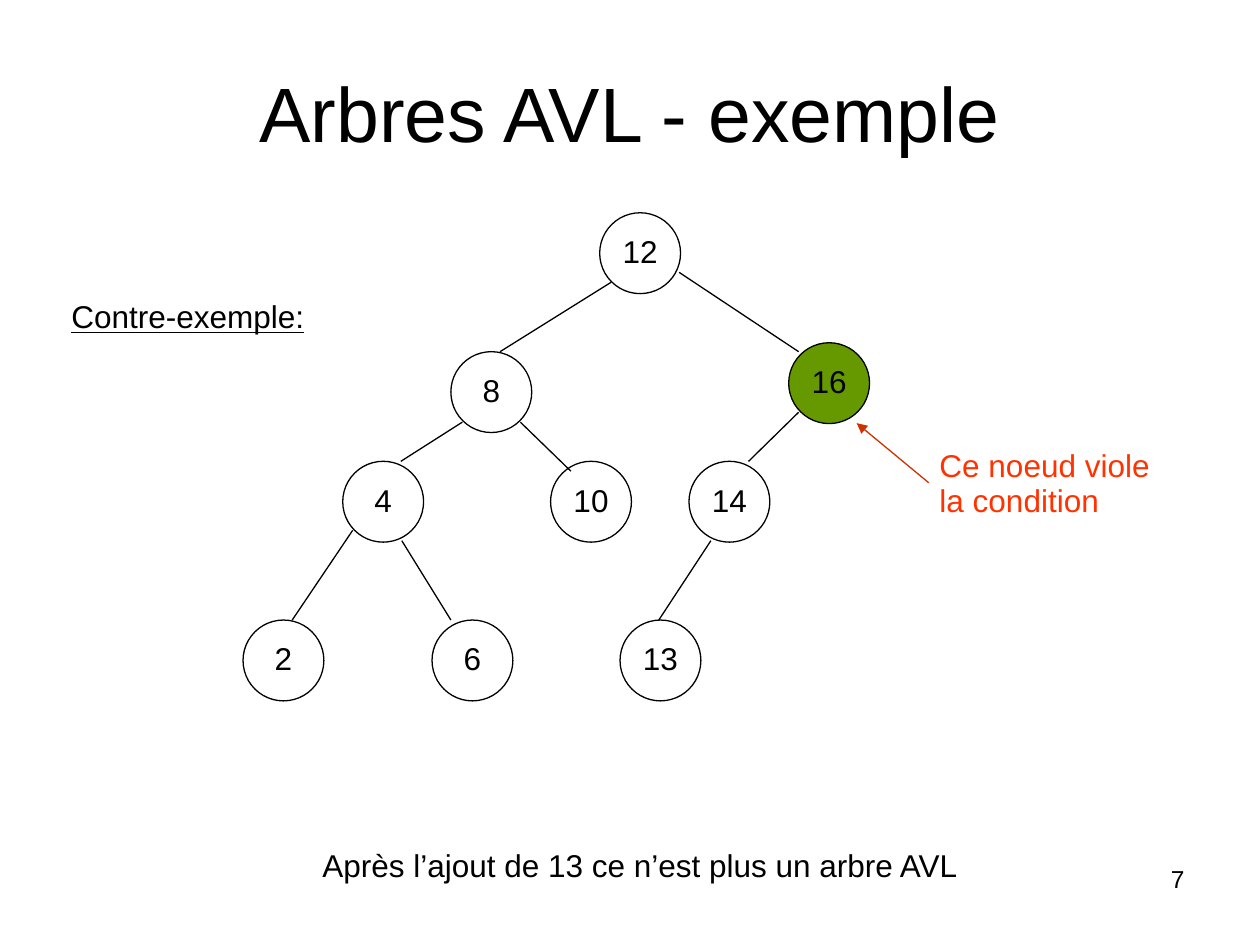
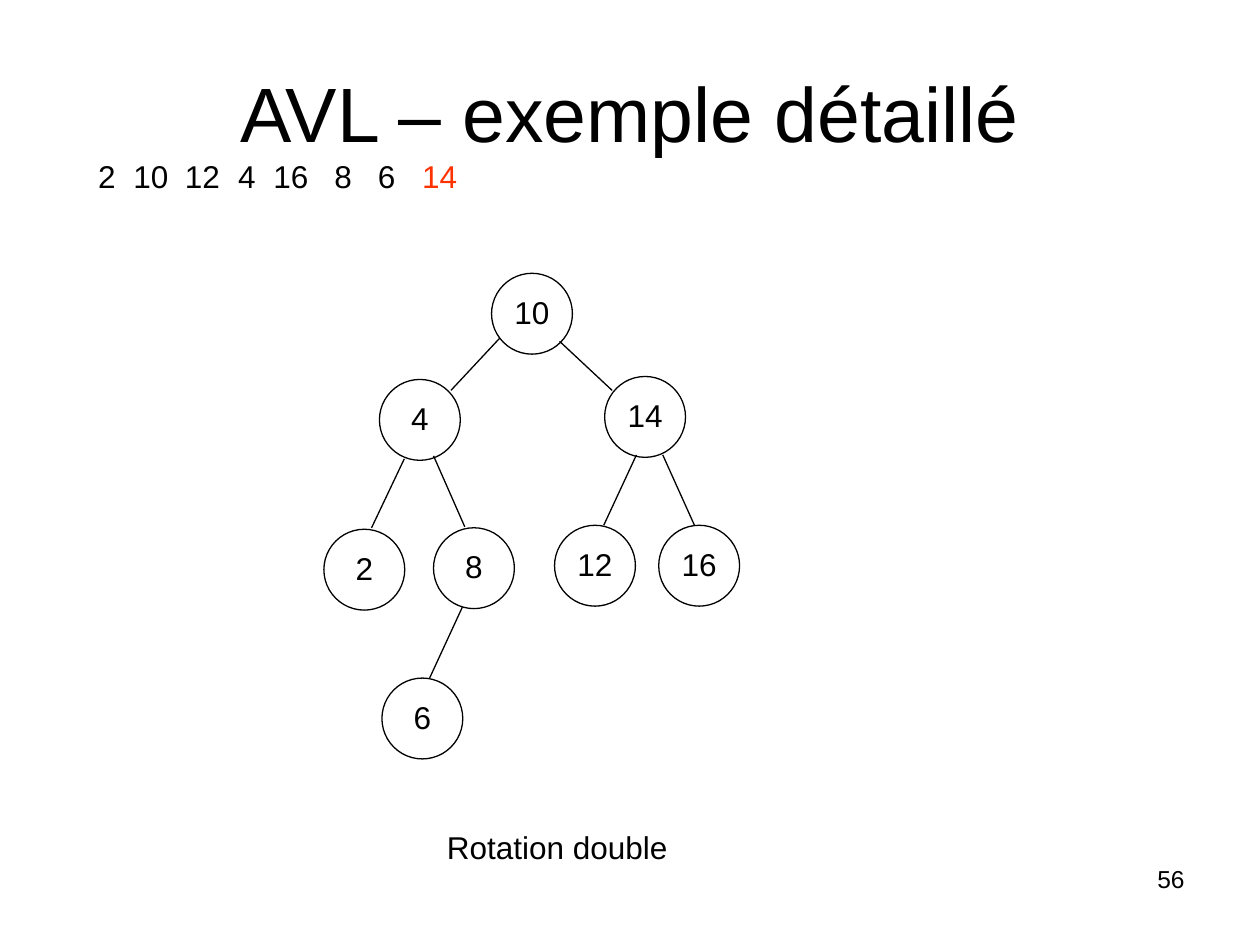
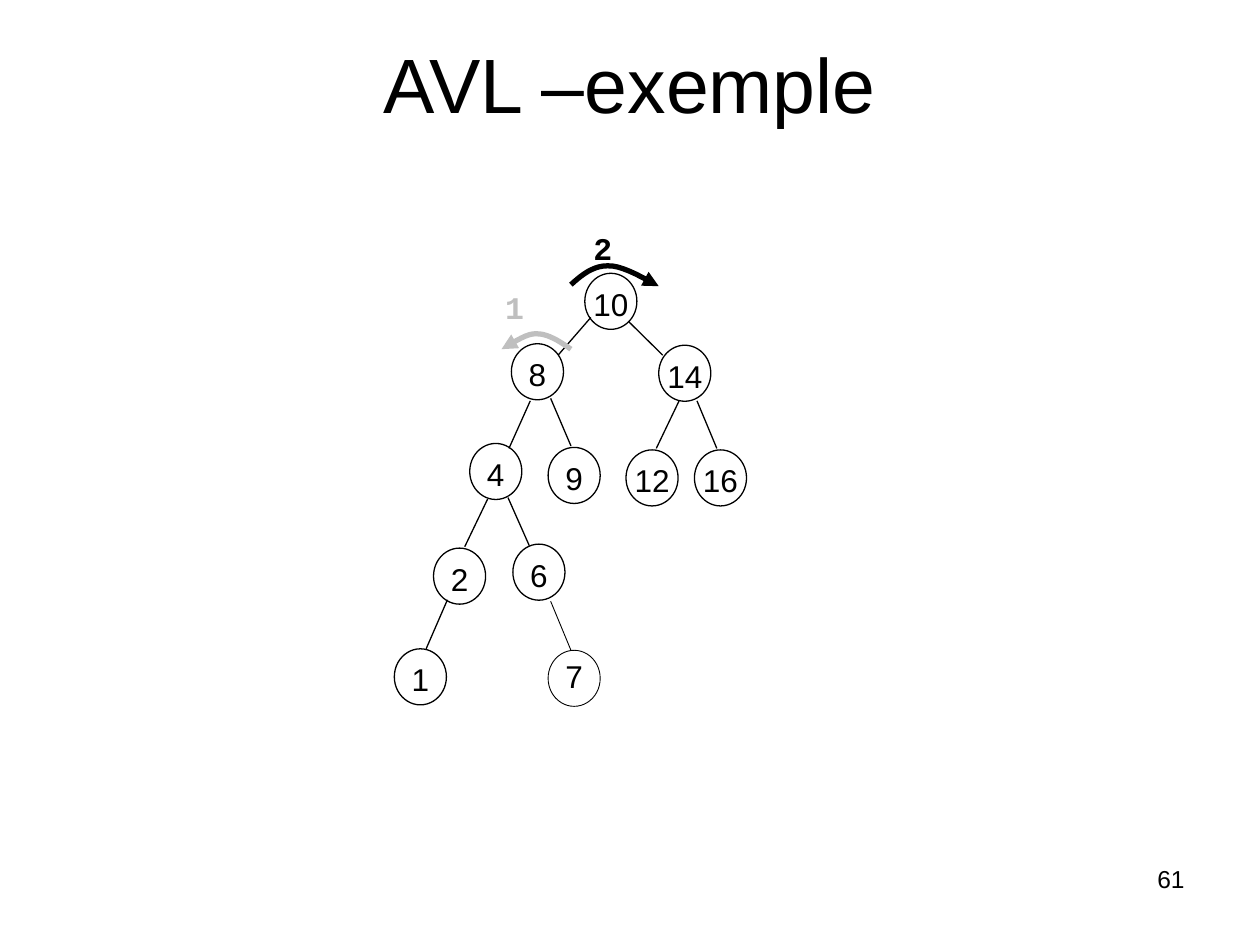
from pptx import Presentation
from pptx.dml.color import RGBColor
from pptx.enum.shapes import MSO_CONNECTOR, MSO_SHAPE
from pptx.enum.text import MSO_ANCHOR, PP_ALIGN
from pptx.oxml.ns import qn
from pptx.util import Cm, Pt
from lxml import etree

LEFT, CENTER, RIGHT = PP_ALIGN.LEFT, PP_ALIGN.CENTER, PP_ALIGN.RIGHT
MIDDLE = MSO_ANCHOR.MIDDLE
OVAL, STRAIGHT = MSO_SHAPE.OVAL, MSO_CONNECTOR.STRAIGHT
BLACK, RED, DARK_RED, GREEN, GREY = "000000", "FF3300", "CC3300", "669900", "BFBFBF"

# A node is: label, left, top, then the two ends of the edge from its parent (cm).
SLIDES = [
    {
        "title": "Arbres AVL - exemple", "number": "7", "title_height": 3.18,
        "node_size": (1.63, 1.63), "text_drop": 0,
        "nodes": [
            ("12", 12.09, 4.29, None),
            ("8", 9.09, 7.09, (12.32, 5.69, 10.08, 7.09)),
            ("16", 15.9, 6.91, (13.69, 5.49, 16.1, 7.09)),
            ("4", 6.91, 9.3, (9.32, 8.51, 8.08, 9.3)),
            ("10", 11.1, 9.3, (10.49, 8.51, 11.51, 9.5)),
            ("14", 13.89, 9.3, (16.1, 8.31, 15.09, 9.3)),
            ("2", 4.9, 12.5, (7.11, 10.69, 5.89, 12.5)),
            ("6", 8.71, 12.5, (8.1, 10.9, 9.09, 12.5)),
            ("13", 12.5, 12.5, (14.33, 10.9, 13.28, 12.5)),
        ],
    },
    {
        "title": "AVL – exemple détaillé", "number": "56", "title_height": 3.18,
        "node_size": (1.63, 1.63), "text_drop": 0,
        "nodes": [
            ("10", 9.91, 5.51, None),
            ("4", 7.65, 7.65, (10.08, 6.81, 9.09, 7.87)),
            ("14", 12.19, 7.59, (11.28, 6.88, 12.34, 7.87)),
            ("2", 6.53, 10.67, (8.15, 9.25, 7.49, 10.64)),
            ("8", 8.74, 10.64, (8.74, 9.19, 9.37, 10.62)),
            ("12", 11.18, 10.59, (12.83, 9.17, 12.17, 10.59)),
            ("16", 13.28, 10.59, (13.36, 9.17, 14, 10.59)),
            ("6", 7.7, 13.67, (9.32, 12.24, 8.66, 13.67)),
        ],
    },
    {
        "title": "AVL –exemple", "number": "61", "title_height": 2.01,
        "node_size": (1.05, 1.13), "text_drop": 0.18,
        "nodes": [
            ("10", 11.79, 5.51, None),
            ("8", 10.31, 6.93, (11.91, 6.4, 11.25, 7.16)),
            ("14", 13.28, 6.96, (12.67, 6.48, 13.36, 7.16)),
            ("4", 9.47, 8.94, (10.69, 8.08, 10.26, 9.04)),
            ("9", 11.05, 9.02, (11.1, 8.03, 11.51, 8.99)),
            ("12", 12.62, 9.07, (13.69, 8.08, 13.23, 9.04)),
            ("16", 14, 9.07, (14.05, 8.08, 14.45, 9.04)),
            ("2", 8.74, 11.05, (9.83, 10.06, 9.37, 11.02)),
            ("6", 10.34, 10.97, (10.24, 10.03, 10.67, 11)),
            ("1", 7.95, 13.08, (9.02, 12.09, 8.59, 13.08)),
            ("7", 11.05, 13.11, (11.1, 12.12, 11.51, 13.11)),
        ],
    },
]


def rgb(value):
    return RGBColor.from_string(value)


def write(frame, lines, align=LEFT, wrap=True, **style):
    """Fill a text frame; each line is a list of (text, colour) spans."""
    frame.word_wrap = wrap
    style = {"name": "Arial", "size": Pt(18), **style}
    for index, spans in enumerate(lines):
        para = frame.add_paragraph() if index else frame.paragraphs[0]
        para.alignment = align
        para.line_spacing = 0.93
        for text, colour in spans:
            span = para.add_run()
            span.text = text
            span.font.color.rgb = rgb(colour)
            for name, value in style.items():
                setattr(span.font, name, value)


deck = Presentation()
deck.slide_width, deck.slide_height = Cm(25.4), Cm(19.05)
pages, connectors, arrows = [], [], []

# Titles, page numbers and trees
for content in SLIDES:
    page = deck.slides.add_slide(deck.slide_layouts[5])
    pages.append(page)
    title = page.shapes.title
    title.left, title.top = Cm(1.27), Cm(0.76)
    title.width, title.height = Cm(22.86), Cm(content["title_height"])
    title.text_frame.vertical_anchor = MIDDLE
    write(title.text_frame, [[(content["title"], BLACK)]], CENTER, size=Pt(44))
    number = page.shapes.add_textbox(Cm(18.21), Cm(17.35), Cm(5.92), Cm(1.32))
    write(number.text_frame, [[(content["number"], BLACK)]], RIGHT, size=Pt(14))

    width, height = content["node_size"]
    for label, left, top, edge in content["nodes"]:
        is_new = page is pages[-1] and content is SLIDES[2] and label == "7"
        node = page.shapes.add_shape(OVAL, Cm(left), Cm(top), Cm(width), Cm(height))
        node.shadow.inherit = False
        node.fill.background()
        if content is SLIDES[0] and label == "16":
            node.fill.solid()
            node.fill.fore_color.rgb = rgb(GREEN)
        outlines = [node.line]
        frame = node.text_frame
        frame.vertical_anchor = MIDDLE
        frame.margin_left = frame.margin_right = frame.margin_bottom = 0
        frame.margin_top = Cm(0 if is_new else content["text_drop"])
        write(frame, [[(label, BLACK)]], CENTER, wrap=False)
        if edge:
            branch = page.shapes.add_connector(STRAIGHT, *map(Cm, edge))
            connectors.append(branch)
            outlines.append(branch.line)
        for outline in outlines:
            outline.color.rgb = rgb(BLACK)
            outline.width = Pt(0.5 if is_new else 0.75)

# Captions: page, position and size, lines, format
captions = [
    (0, (6.25, 16.99, 13.41, 0.97),
     [[("Après l’ajout de 13 ce n’est plus un arbre AVL", BLACK)]], {}),
    (0, (18.69, 8.94, 5.13, 1.68),
     [[("Ce noeud viole", RED)], [("la condition", RED)]], {}),
    (0, (1.19, 5.94, 5.26, 0.97), [[("Contre-exemple:", BLACK)]], {"underline": True}),
    (1, (8.76, 16.64, 4.98, 0.97), [[("Rotation double", BLACK)]], {}),
    (2, (9.93, 5.74, 0.89, 0.99), [[("1", GREY)]],
     {"align": CENTER, "name": "Courier New", "bold": True}),
    (2, (11.71, 4.57, 0.89, 0.99), [[("2", BLACK)]],
     {"align": CENTER, "name": "Courier New", "bold": True}),
]
for page_index, place, lines, style in captions:
    box = pages[page_index].shapes.add_textbox(*map(Cm, place))
    write(box.text_frame, lines, **style)

# Insertion sequence, spaced by tab stops
sequence = pages[1].shapes.add_textbox(Cm(1.73), Cm(3.1), Cm(8.13), Cm(0.97))
properties = sequence.text_frame.paragraphs[0]._p.get_or_add_pPr()
tab_list = etree.SubElement(properties, qn("a:tabLst"))
for position in (0.71, 1.75, 2.82, 3.53, 4.76, 5.64, 6.53):
    etree.SubElement(tab_list, qn("a:tab"), pos=str(Cm(position)), algn="l")
write(sequence.text_frame, [[("2\t10\t12\t4\t16\t8\t6\t", BLACK), ("14", RED)]])

# Arrow to the unbalanced node
pointer = pages[0].shapes.add_connector(STRAIGHT, Cm(18.72), Cm(9.73), Cm(17.27), Cm(8.53))
pointer.line.color.rgb = rgb(DARK_RED)
pointer.line.width = Pt(0.75)
connectors.append(pointer)
arrows.append(pointer)

# Rotation arrows: two cubic curves joined end to end
rotations = [
    (BLACK, [(11.51, 5.74), (11.73, 5.54), (11.96, 5.36), (12.24, 5.36),
             (12.55, 5.33), (13.11, 5.69), (13.28, 5.77)]),
    (GREY, [(11.51, 7.04), (11.28, 6.88), (11.05, 6.73), (10.82, 6.73),
            (10.59, 6.71), (10.24, 6.99), (10.11, 7.04)]),
]
STEPS = 10
for colour, controls in rotations:
    points = []
    for first in (0, 3):
        for step in range(1, STEPS + 1):
            t = step / STEPS
            weights = ((1 - t) ** 3, 3 * t * (1 - t) ** 2, 3 * t ** 2 * (1 - t), t ** 3)
            curve = list(zip(weights, controls[first:first + 4]))
            points.append(tuple(Cm(sum(w * c[axis] for w, c in curve)) for axis in (0, 1)))
    builder = pages[2].shapes.build_freeform(*map(Cm, controls[0]))
    builder.add_line_segments(points, close=False)
    rotation = builder.convert_to_shape()
    rotation.shadow.inherit = False
    rotation.fill.background()
    rotation.line.color.rgb = rgb(colour)
    rotation.line.width = Pt(3)
    arrows.append(rotation)

for arrow in arrows:
    etree.SubElement(arrow.line._get_or_add_ln(), qn("a:tailEnd"), type="triangle")
for connector in connectors:
    etree.SubElement(connector._element.spPr, qn("a:effectLst"))

deck.save("out.pptx")
